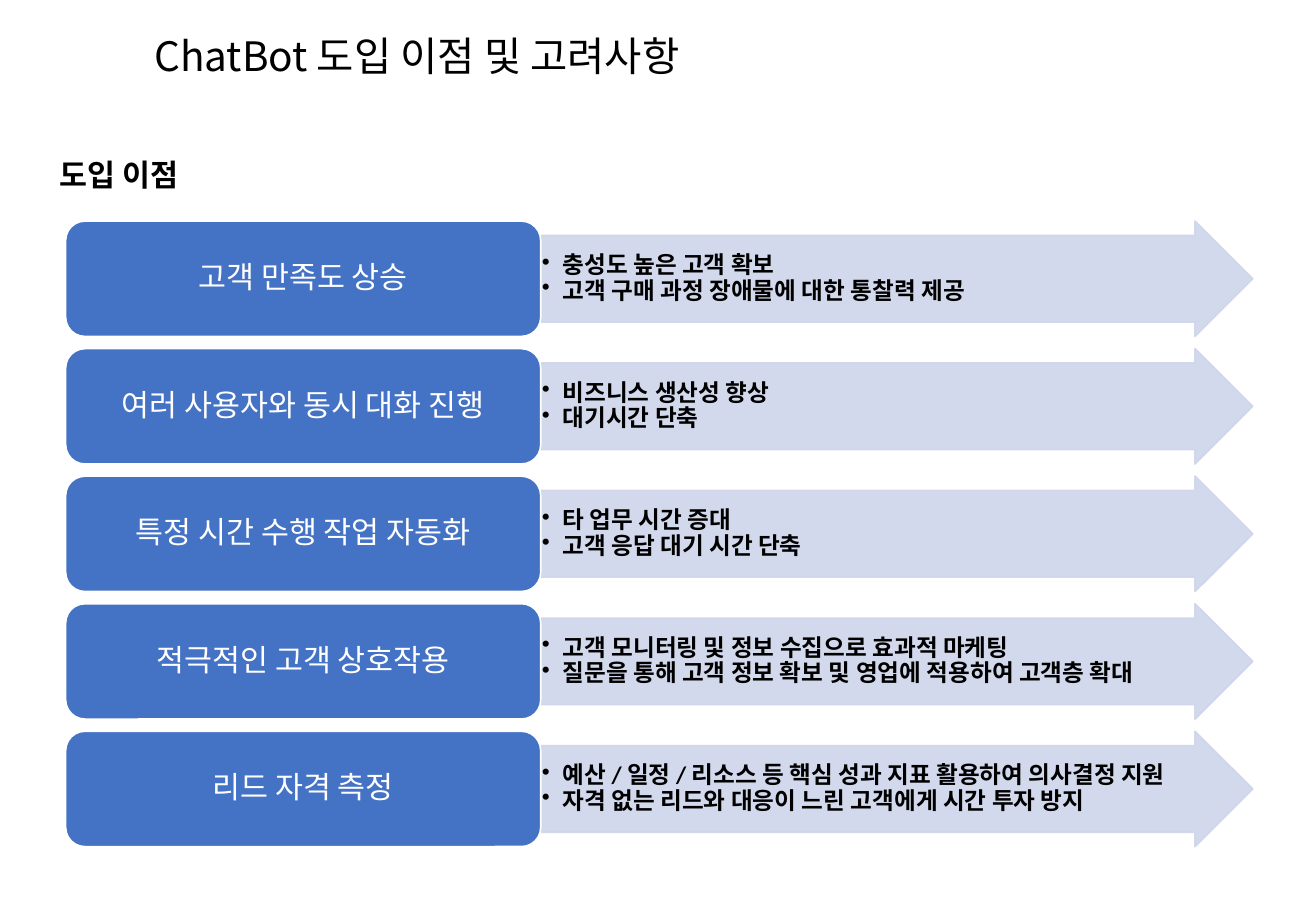
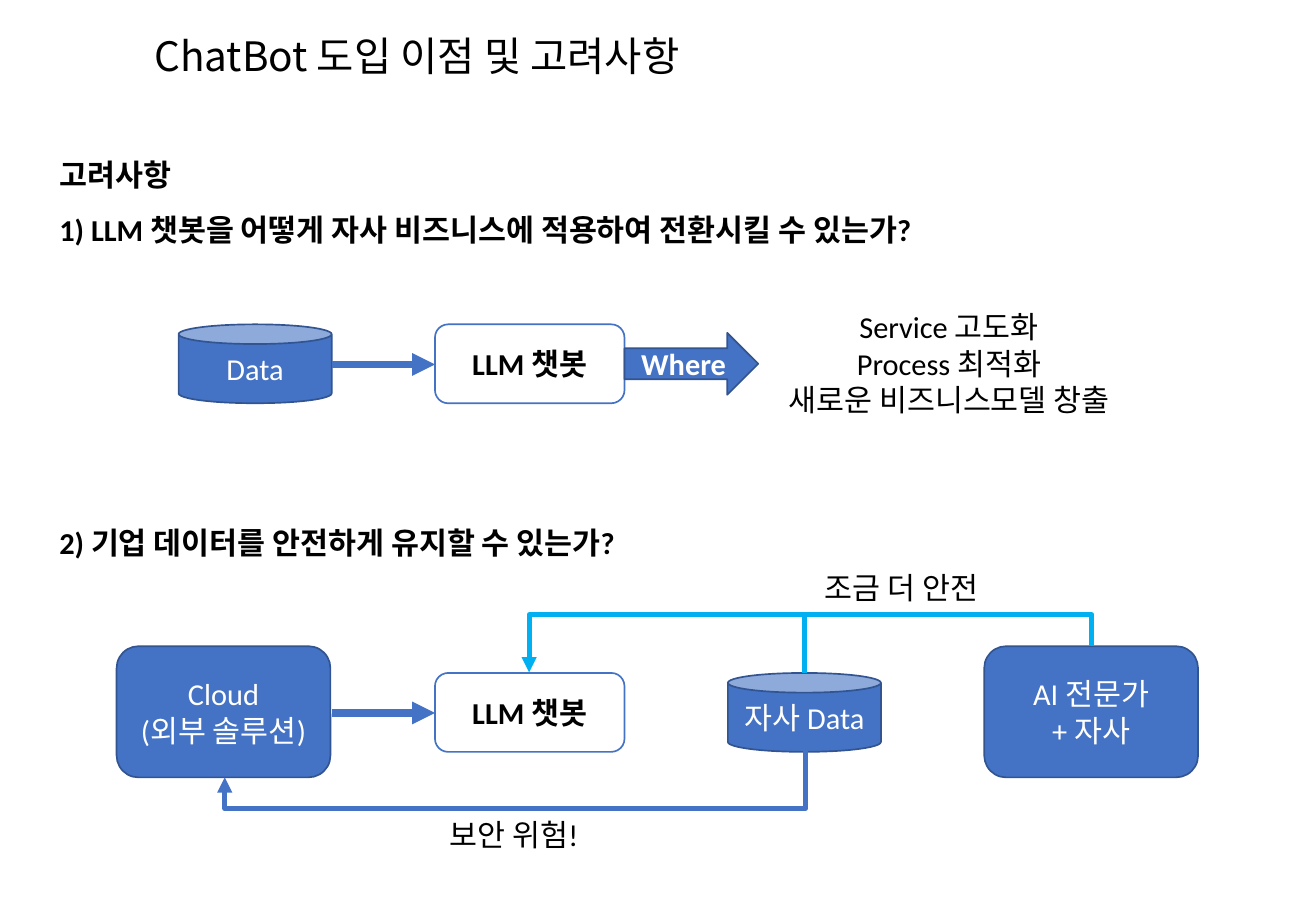
from lxml.etree import SubElement
from pptx import Presentation
from pptx.dml.color import RGBColor
from pptx.enum.shapes import MSO_CONNECTOR, MSO_SHAPE
from pptx.enum.text import MSO_ANCHOR, PP_ALIGN
from pptx.oxml.ns import qn
from pptx.util import Inches, Pt

BLUE, DARK_BLUE, PALE_BLUE, CYAN = "4472C4", "325491", "CFD5EA", "00B0F0"
WHITE, BLACK = "FFFFFF", "000000"
TITLE = "ChatBot 도입 이점 및 고려사항"


def write(shape, lines, size=18, color=BLACK, bold=False, align=PP_ALIGN.CENTER,
          spacing=1.0, anchor=MSO_ANCHOR.MIDDLE, font="Calibri", inset=None):
    frame = shape.text_frame
    frame.word_wrap = True
    frame.vertical_anchor = anchor
    if inset is not None:
        frame.margin_left = frame.margin_right = Inches(inset)
        frame.margin_top = frame.margin_bottom = Inches(inset)
    frame.text = "\n".join(lines)
    for paragraph in frame.paragraphs:
        paragraph.alignment = align
        paragraph.line_spacing = spacing
        paragraph.font.name = font
        paragraph.font.size = Pt(size)
        paragraph.font.bold = bold
        paragraph.font.color.rgb = RGBColor.from_string(color)


def add_box(slide, kind, place, fill, line):
    shape = slide.shapes.add_shape(kind, *map(Inches, place))
    shape.shadow.inherit = False
    shape.fill.solid()
    shape.fill.fore_color.rgb = RGBColor.from_string(fill)
    shape.line.color.rgb = RGBColor.from_string(line)
    shape.line.width = Pt(1)
    return shape


deck = Presentation()
deck.slide_width, deck.slide_height = Inches(10.83), Inches(7.5)
blank = deck.slide_layouts[6]
benefits_slide = deck.slides.add_slide(blank)
concerns_slide = deck.slides.add_slide(blank)

for slide in (benefits_slide, concerns_slide):
    title = slide.shapes.add_textbox(*map(Inches, (1.23, 0.1, 9.34, 0.76)))
    write(title, [TITLE], size=24, align=PP_ALIGN.LEFT, spacing=0.9,
          font="Noto Sans CJK KR", inset=0.04)

headings = [
    (benefits_slide, 1.09, 0.51, ["도입 이점"]),
    (concerns_slide, 1.09, 0.96,
     ["고려사항", "1) LLM 챗봇을 어떻게 자사 비즈니스에 적용하여 전환시킬 수 있는가?"]),
    (concerns_slide, 4.12, 0.56, ["2) 기업 데이터를 안전하게 유지할 수 있는가?"]),
]
for slide, top, height, lines in headings:
    heading = slide.shapes.add_textbox(*map(Inches, (0.39, top, 10.07, height)))
    write(heading, lines, bold=True, align=PP_ALIGN.LEFT, spacing=1.5,
          anchor=MSO_ANCHOR.TOP)

benefits = [
    ("고객 만족도 상승", ["충성도 높은 고객 확보", "고객 구매 과정 장애물에 대한 통찰력 제공"]),
    ("여러 사용자와 동시 대화 진행", ["비즈니스 생산성 향상", "대기시간 단축"]),
    ("특정 시간 수행 작업 자동화", ["타 업무 시간 증대", "고객 응답 대기 시간 단축"]),
    ("적극적인 고객 상호작용",
     ["고객 모니터링 및 정보 수집으로 효과적 마케팅",
      "질문을 통해 고객 정보 확보 및 영업에 적용하여 고객층 확대"]),
    ("리드 자격 측정",
     ["예산 / 일정 / 리소스 등 핵심 성과 지표 활용하여 의사결정 지원",
      "자격 없는 리드와 대응이 느린 고객에게 시간 투자 방지"]),
]
for row, (benefit, effects) in enumerate(benefits):
    top = 1.82 + 1.05 * row
    arrow = add_box(benefits_slide, MSO_SHAPE.RIGHT_ARROW, (4.45, top, 5.86, 0.95),
                    PALE_BLUE, PALE_BLUE)
    arrow.adjustments[0] = 0.75
    for tint in arrow.element.spPr.iter(qn("a:srgbClr")):
        SubElement(tint, qn("a:alpha"), val="90000")
    write(arrow, effects, size=14, bold=True, align=PP_ALIGN.LEFT, spacing=0.9, inset=0.01)
    for paragraph in arrow.text_frame.paragraphs:
        properties = paragraph._p.get_or_add_pPr()
        properties.set("marL", str(Inches(0.17)))
        properties.set("indent", str(-Inches(0.17)))
        bullet = properties.makeelement(qn("a:buChar"), {"char": "•"})
        properties.find(qn("a:defRPr")).addprevious(bullet)
    label = add_box(benefits_slide, MSO_SHAPE.ROUNDED_RECTANGLE, (0.54, top, 3.91, 0.95),
                    BLUE, WHITE)
    write(label, [benefit], color=WHITE, spacing=0.9)

ROUND, CAN = MSO_SHAPE.ROUNDED_RECTANGLE, MSO_SHAPE.CAN
nodes = [
    (ROUND, (3.58, 2.67, 1.56, 0.65), WHITE, BLUE, BLACK, True, ["LLM 챗봇"]),
    (CAN, (1.47, 2.67, 1.26, 0.65), BLUE, DARK_BLUE, WHITE, False, ["Data"]),
    (MSO_SHAPE.RIGHT_ARROW, (5.14, 2.74, 1.1, 0.51), BLUE, DARK_BLUE, WHITE, True, ["Where"]),
    (ROUND, (3.58, 5.54, 1.56, 0.65), WHITE, BLUE, BLACK, True, ["LLM 챗봇"]),
    (ROUND, (0.96, 5.32, 1.76, 1.08), BLUE, DARK_BLUE, WHITE, False, ["Cloud", "(외부 솔루션)"]),
    (CAN, (5.99, 5.54, 1.26, 0.65), BLUE, DARK_BLUE, WHITE, False, ["자사 Data"]),
    (ROUND, (8.1, 5.32, 1.76, 1.08), BLUE, DARK_BLUE, WHITE, False, ["AI 전문가", "+ 자사"]),
]
for kind, place, fill, line, color, bold, lines in nodes:
    node = add_box(concerns_slide, kind, place, fill, line)
    write(node, lines, color=color, bold=bold)

STRAIGHT, ELBOW = MSO_CONNECTOR.STRAIGHT, MSO_CONNECTOR.ELBOW
links = [
    (STRAIGHT, (2.73, 3, 3.58, 3), BLUE, 4.5, True, {}, None),
    (STRAIGHT, (2.73, 5.87, 3.58, 5.87), BLUE, 4.5, True, {}, None),
    (ELBOW, (4.13, 3.9, 4.35, 8.68), BLUE, 3, True, {"rot": "5400000"}, 215700),
    (ELBOW, (6.56, 3.11, 6.78, 7.74), CYAN, 3, True,
     {"rot": "16200000", "flipH": "1", "flipV": "1"}, -115700),
    (STRAIGHT, (6.62, 5.54, 6.62, 5.08), CYAN, 3, False, {}, None),
]
for kind, ends, color, width, has_head, turn, bend in links:
    link = concerns_slide.shapes.add_connector(kind, *map(Inches, ends))
    link.line.color.rgb = RGBColor.from_string(color)
    link.line.width = Pt(width)
    properties = link.element.spPr
    if has_head:
        SubElement(properties.find(qn("a:ln")), qn("a:tailEnd"), type="triangle")
    SubElement(properties, qn("a:effectLst"))
    for key, value in turn.items():
        properties.find(qn("a:xfrm")).set(key, value)
    if bend is not None:
        guides = properties.find(qn("a:prstGeom")).find(qn("a:avLst"))
        SubElement(guides, qn("a:gd"), name="adj1", fmla=f"val {bend}")

captions = [
    ((6.24, 2.49, 3.14, 1.01), ["Service 고도화", "Process 최적화", "새로운 비즈니스모델 창출"]),
    ((2.66, 6.67, 3.14, 0.4), ["보안 위험!"]),
    ((5.85, 4.64, 3.14, 0.4), ["조금 더 안전"]),
]
for place, lines in captions:
    caption = concerns_slide.shapes.add_textbox(*map(Inches, place))
    write(caption, lines, anchor=MSO_ANCHOR.TOP)

deck.save("out.pptx")
